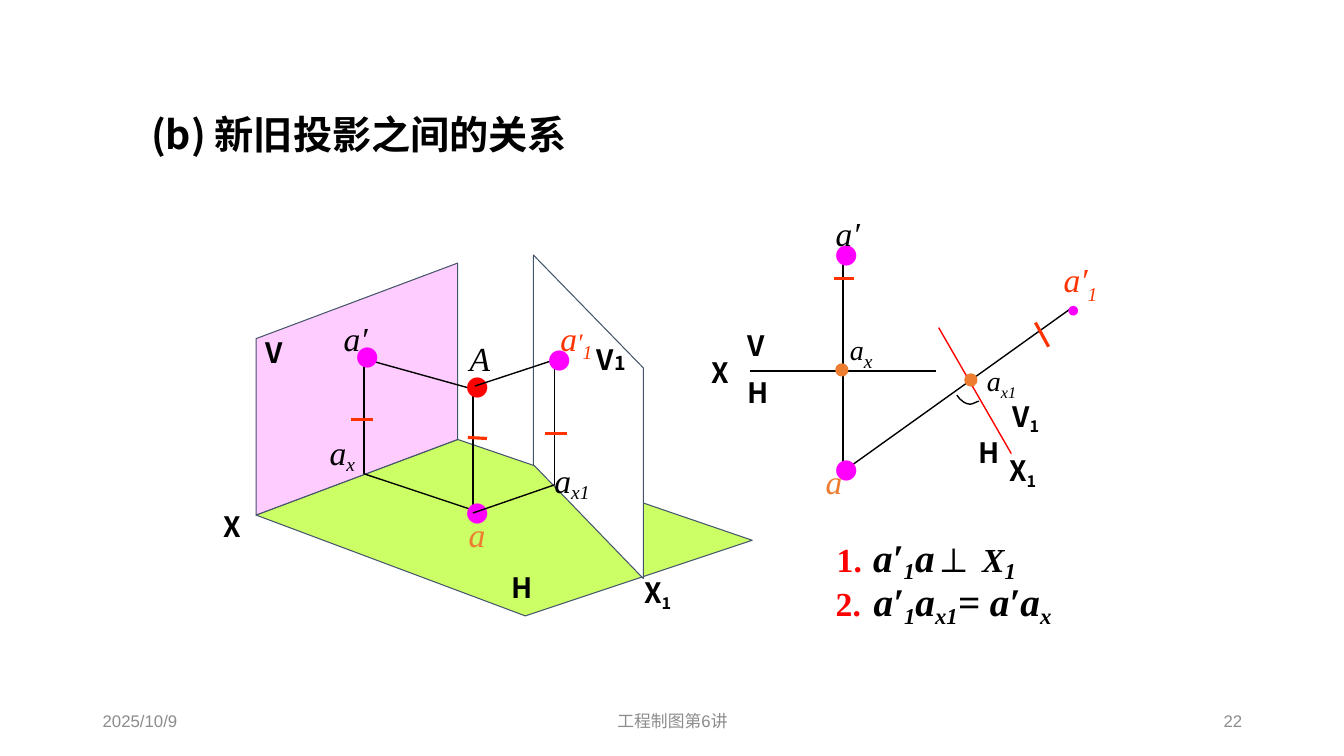
from dataclasses import dataclass, replace

from lxml import etree
from pptx import Presentation
from pptx.dml.color import RGBColor
from pptx.enum.shapes import MSO_CONNECTOR, MSO_SHAPE
from pptx.enum.text import MSO_ANCHOR, MSO_AUTO_SIZE, PP_ALIGN
from pptx.oxml.ns import qn
from pptx.util import Pt

PX = 9144  # EMU per px, 100 px to the inch


@dataclass(frozen=True)
class Style:
    size: int
    font: str
    color: str
    bold: bool = False
    italic: bool = False
    drop: int = -20  # baseline shift of subscripts, percent


class Theme:
    black, white, red, grey = "000000", "FFFFFF", "FF0000", "8C8C8C"
    magenta, orange, vermilion = "FF00FF", "ED7D31", "FF3300"
    pink, lime, edge = "FFCCFF", "CCFF66", "44546A"
    hair, thin, thick = 0.75, 1, 2.25
    sans, serif = "Noto Sans CJK SC", "Times New Roman"

    footer = Style(12, "Arial", grey)
    title = Style(28, sans, black, bold=True)
    plane = Style(20, sans, black, bold=True)
    dot = Style(16, sans, magenta, bold=True)
    small_dot = Style(16, serif, magenta, italic=True)
    point = Style(24, serif, black, italic=True)
    foot = replace(point, color=orange)
    new_point = replace(point, color=vermilion, drop=-25)
    axis_point = replace(point, size=20, drop=-25)
    number = Style(24, serif, red, bold=True)
    formula = Style(28, serif, black, bold=True, italic=True)


class Drawing:
    def __init__(self, slide, theme):
        self.shapes = slide.shapes
        self.theme = theme

    def text(self, left, top, width, height, *spans, wrap=False, align=PP_ALIGN.LEFT):
        """Each span is (text, style); underscores switch subscript on and off."""
        box = self.shapes.add_textbox(left * PX, top * PX, width * PX, height * PX)
        frame = box.text_frame
        frame.word_wrap = wrap
        frame.auto_size = MSO_AUTO_SIZE.NONE if wrap else MSO_AUTO_SIZE.SHAPE_TO_FIT_TEXT
        frame.vertical_anchor = MSO_ANCHOR.MIDDLE
        para = frame.paragraphs[0]
        para.alignment = align
        for text, style in spans:
            for index, piece in enumerate(text.split("_")):
                if piece:
                    self.span(para, piece, style, index % 2 == 1)

    def span(self, para, text, style, subscript):
        run = para.add_run()
        run.text = text
        font = run.font
        font.size, font.name = Pt(style.size), style.font
        font.bold, font.italic = style.bold, style.italic
        font.color.rgb = RGBColor.from_string(style.color)
        properties = run._r.get_or_add_rPr()
        east_asian = etree.SubElement(properties, qn("a:ea"))
        east_asian.set("typeface", self.theme.serif if style.font == self.theme.serif else self.theme.sans)
        if subscript:
            properties.set("baseline", str(style.drop * 1000))

    def line(self, x1, y1, x2, y2, color=Theme.black, weight=Theme.thin):
        line = self.shapes.add_connector(MSO_CONNECTOR.STRAIGHT, x1 * PX, y1 * PX, x2 * PX, y2 * PX)
        self.outline(line, color, weight)
        etree.SubElement(line._element.spPr, qn("a:effectLst"))

    def outline(self, shape, color, weight):
        shape.line.color.rgb = RGBColor.from_string(color)
        shape.line.width = Pt(weight)

    def fill(self, shape, color):
        shape.shadow.inherit = False
        shape.fill.solid()
        shape.fill.fore_color.rgb = RGBColor.from_string(color)

    def polygon(self, points, color):
        builder = self.shapes.build_freeform(*points[0], scale=PX)
        builder.add_line_segments(points[1:], close=True)
        shape = builder.convert_to_shape()
        self.fill(shape, color)
        self.outline(shape, self.theme.edge, self.theme.hair)

    def curve(self, points):
        """Bezier curve: a start, then three points for each segment."""
        builder = self.shapes.build_freeform(*points[0], scale=PX)
        builder.add_line_segments(points[1:], close=False)
        shape = builder.convert_to_shape()
        shape.shadow.inherit = False
        shape.fill.background()
        self.outline(shape, self.theme.black, self.theme.thin)
        steps = list(shape._element.iter(qn("a:lnTo")))
        for first in range(0, len(steps), 3):
            bend = etree.SubElement(steps[0].getparent(), qn("a:cubicBezTo"))
            for step in steps[first:first + 3]:
                bend.append(step[0])
        for step in steps:
            step.getparent().remove(step)

    def node(self, left, top, size=10):
        shape = self.shapes.add_shape(MSO_SHAPE.OVAL, left * PX, top * PX, size * PX, size * PX)
        self.fill(shape, self.theme.orange)
        self.outline(shape, self.theme.orange, self.theme.thick)

    def dot(self, left, top, style=Theme.dot):
        self.text(left, top, 37, 37, ("●", style))

    def tick(self, *ends):
        self.line(*ends, self.theme.vermilion, self.theme.thick)


def draw_heading_and_footer(drawing, theme):
    drawing.text(140, 104, 504, 57, ("(b) 新旧投影之间的关系", theme.title), wrap=True)
    for left, width, text, align in [
        (92, 300, "2025/10/9", PP_ALIGN.LEFT),
        (442, 450, "工程制图第6讲", PP_ALIGN.CENTER),
        (942, 300, "22", PP_ALIGN.RIGHT),
    ]:
        drawing.text(left, 695, width, 40, (text, theme.footer), wrap=True, align=align)


def draw_space_view(drawing, theme):
    # Planes H and V with the projecting lines between them
    drawing.polygon([(254, 511), (454, 436), (746, 536), (521, 611)], theme.lime)
    drawing.polygon([(254, 336), (254, 511), (454, 436), (454, 261)], theme.pink)
    for ends in [(469, 386, 469, 511), (469, 386, 361, 356), (361, 356, 361, 470), (361, 470, 469, 506)]:
        drawing.line(*ends)
    drawing.text(254, 328, 40, 43, ("V", theme.plane))
    drawing.text(497, 561, 42, 43, ("H", theme.plane))
    drawing.text(212, 501, 40, 43, ("X", theme.plane))
    drawing.text(456, 330, 41, 50, ("A", theme.point))
    drawing.text(455, 505, 37, 50, ("a", theme.foot))
    drawing.text(317, 425, 48, 50, ("a_x", theme.point))
    drawing.dot(344, 336)
    drawing.dot(453, 366, replace(theme.dot, color=theme.red))
    drawing.dot(453, 491)

    # New plane V1
    drawing.polygon([(529, 253), (529, 461), (638, 574), (638, 365)], theme.white)
    drawing.text(629, 568, 49, 43, ("X_1", theme.plane))
    drawing.text(582, 335, 50, 43, ("V", theme.plane), ("1", replace(theme.plane, size=14)))
    for ends in [(469, 509, 550, 481), (471, 383, 553, 356), (550, 481, 550, 354)]:
        drawing.line(*ends)
    drawing.text(546, 313, 54, 50, ("a", theme.new_point),
                 ("′", replace(theme.new_point, size=18)), ("_1", theme.new_point))
    drawing.text(540, 453, 59, 50, ("a_x1", theme.point))
    drawing.dot(534, 339)
    drawing.text(331, 310, 45, 50, ("a′", theme.point))

    # Equal-length ticks
    for ends in [(348, 416, 370, 416), (464, 434, 483, 435), (541, 430, 562, 430)]:
        drawing.tick(*ends)


def draw_flat_view(drawing, theme):
    # Axes and projecting lines
    for ends in [(840, 465, 1065, 304), (744, 368, 928, 368), (836, 251, 836, 468)]:
        drawing.line(*ends)
    drawing.line(931, 325, 1003, 450, theme.red)

    # Projected points
    drawing.dot(819, 235)
    drawing.dot(819, 448)
    drawing.dot(1048, 288, theme.small_dot)
    drawing.text(819, 206, 45, 50, ("a′", theme.point))
    drawing.text(809, 452, 37, 50, ("a", theme.foot))
    drawing.text(1045, 255, 120, 50, ("a′_1", theme.new_point), wrap=True)
    drawing.text(833, 322, 45, 50, ("a", theme.axis_point), ("_x", replace(theme.axis_point, size=24)))
    drawing.text(969, 358, 53, 44, ("a_x1", theme.axis_point))

    # Plane and axis names
    drawing.text(732, 321, 34, 43, ("V", theme.plane))
    drawing.text(732, 368, 34, 43, ("H", theme.plane))
    drawing.text(696, 348, 40, 43, ("X", theme.plane))
    drawing.text(994, 393, 49, 43, ("V_1", theme.plane))
    drawing.text(961, 427, 34, 43, ("H", theme.plane))
    drawing.text(991, 447, 49, 43, ("X_1", theme.plane))

    # Right-angle arc, ticks and axis nodes
    drawing.curve([(949, 392), (951, 395), (953, 397), (956, 399), (958, 400),
                   (960, 401), (962, 401), (965, 401), (969, 398), (971, 398)])
    drawing.tick(827, 276, 847, 276)
    drawing.tick(1027, 320, 1040, 344)
    drawing.node(830, 362)
    drawing.node(958, 372)


def draw_conclusions(drawing, theme):
    formula = theme.formula
    drawing.text(820, 520, 239, 63, ("1.", theme.number), (" ", replace(formula, size=32)),
                 ("a′_1_a", formula), ("⊥", replace(formula, italic=False)),
                 (" X", replace(formula, size=24)), ("_1", formula), wrap=True)
    drawing.text(819, 558, 325, 70, ("2.", theme.number), (" ", replace(theme.number, size=36)),
                 ("a′_1_a_x1_= a′a_x", formula), wrap=True)


def main():
    deck = Presentation()
    deck.slide_width, deck.slide_height = 1333 * PX, 750 * PX
    theme = Theme()
    drawing = Drawing(deck.slides.add_slide(deck.slide_layouts[6]), theme)
    for draw in (draw_heading_and_footer, draw_space_view, draw_flat_view, draw_conclusions):
        draw(drawing, theme)
    deck.save("out.pptx")


if __name__ == "__main__":
    main()
